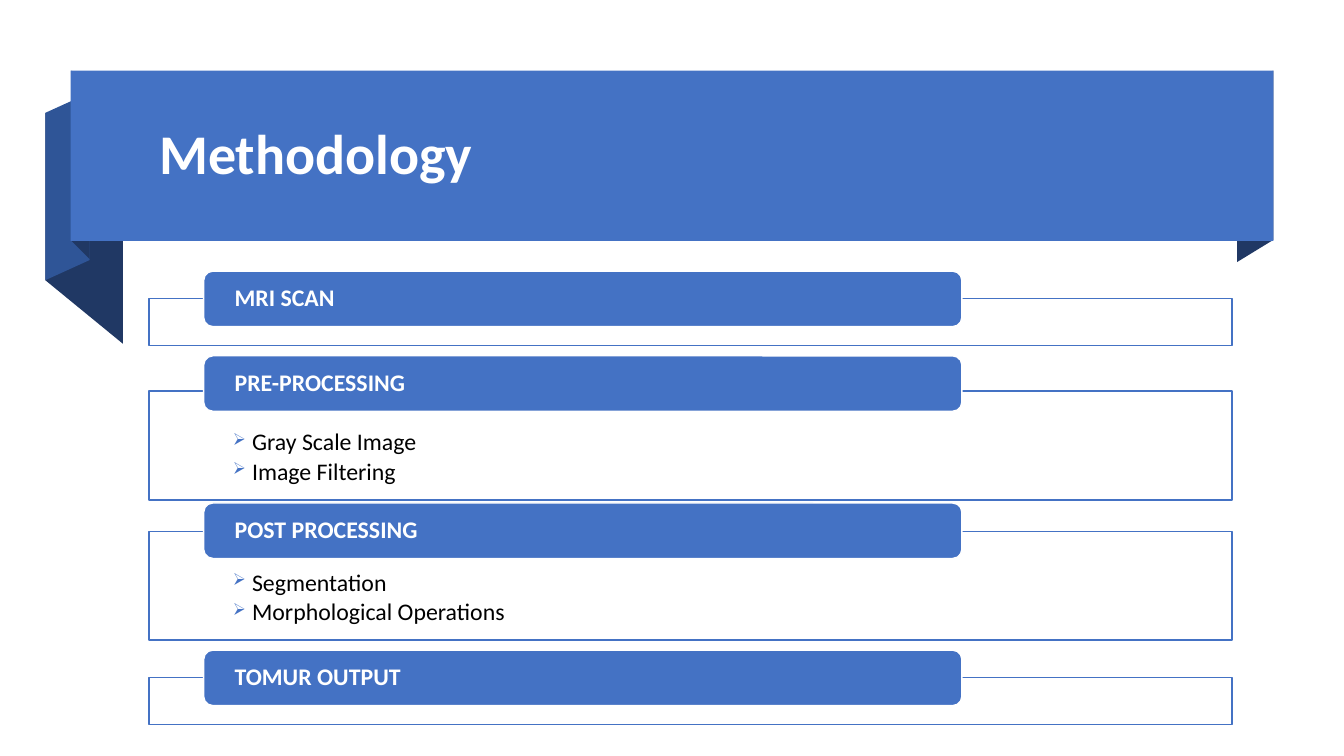
from lxml import etree
from pptx import Presentation, util as u
from pptx.dml.color import RGBColor
from pptx.enum import shapes, text
from pptx.oxml.ns import qn

PX = 9144  # EMU per px, 100 px to the inch
COLORS = {"blue": "4472C4", "mid": "2F5597", "navy": "203864",
          "white": "FFFFFF", "black": "000000"}
FONT = "Calibri"

FOLDS = [
    ("navy", [(1263, 238), (1227, 260), (1227, 91), (1263, 70)]),
    ("navy", [(122, 341), (45, 278), (45, 112), (122, 175)]),
    ("mid", [(89, 258), (45, 278), (45, 112), (89, 92)]),
    ("navy", [(89, 257), (71, 239), (71, 70), (89, 89)]),
]
# heading, heading top, box top, box height, bullets
STEPS = [
    ("MRI SCAN", 269, 296, 47, []),
    ("PRE-PROCESSING", 353, 388, 108, ["Gray Scale Image", "Image Filtering"]),
    ("POST PROCESSING", 499, 527, 108, ["Segmentation", "Morphological Operations"]),
    ("TOMUR OUTPUT", 645, 672, 47, []),
]


class Deck:
    def __init__(self, width, height):
        self.prs = Presentation()
        self.prs.slide_width, self.prs.slide_height = width * PX, height * PX
        self.s = self.prs.slides.add_slide(self.prs.slide_layouts[5])

    def color(self, name):
        return RGBColor.from_string(COLORS[name])

    def paint(self, sp, fill, line=None):
        sp.shadow.inherit = False
        sp.fill.solid()
        sp.fill.fore_color.rgb = self.color(fill)
        if line:
            sp.line.color.rgb = self.color(line)
            sp.line.width = u.Pt(1)
        else:
            sp.line.fill.background()
        return sp

    def shape(self, kind, box, fill, line=None):
        sp = self.s.shapes.add_shape(kind, *(v * PX for v in box))
        return self.paint(sp, fill, line)

    def polygon(self, points, fill):
        builder = self.s.shapes.build_freeform(*points[0], scale=PX)
        builder.add_line_segments(points[1:], close=True)
        return self.paint(builder.convert_to_shape(), fill)

    def frame(self, sp, anchor, insets=(10, 5, 10, 5)):
        tf = sp.text_frame
        tf.word_wrap = True
        tf.auto_size = text.MSO_AUTO_SIZE.NONE
        tf.vertical_anchor = anchor
        tf.margin_left, tf.margin_top, tf.margin_right, tf.margin_bottom = (
            v * PX for v in insets)
        return tf

    def add_text(self, p, words, size, color, bold=False):
        p.alignment = text.PP_ALIGN.LEFT
        p.line_spacing = 0.9
        r = p.add_run()
        r.text = words
        r.font.name, r.font.size, r.font.bold = FONT, u.Pt(size), bold
        r.font.color.rgb = self.color(color)

    def bullet(self, p):
        p.space_after = u.Pt(2.5)
        pPr = p._p.get_or_add_pPr()
        pPr.set("marL", str(19 * PX))
        pPr.set("indent", str(-19 * PX))
        clr = etree.SubElement(pPr, qn("a:buClr"))
        etree.SubElement(clr, qn("a:srgbClr"), val=COLORS["blue"])
        etree.SubElement(pPr, qn("a:buSzPct"), val="70000")
        etree.SubElement(pPr, qn("a:buChar"), char="➢")

    def title(self, words, box):
        sp = self.s.shapes.title
        sp.left, sp.top, sp.width, sp.height = (v * PX for v in box)
        sp.element.getparent().append(sp.element)  # in front of the ribbon
        tf = self.frame(sp, text.MSO_ANCHOR.MIDDLE)
        self.add_text(tf.paragraphs[0], words, 40, "white", bold=True)

    def step(self, heading, head_top, box_top, box_height, bullets):
        box = self.shape(shapes.MSO_SHAPE.RECTANGLE,
                         (148, box_top, 1074, box_height), "white", "blue")
        fill = box.element.spPr.find(qn("a:solidFill"))
        etree.SubElement(fill[0], qn("a:alpha"), val="90000")
        if bullets:
            tf = self.frame(box, text.MSO_ANCHOR.TOP, (83, 39, 83, 13))
            for i, words in enumerate(bullets):
                p = tf.add_paragraph() if i else tf.paragraphs[0]
                self.add_text(p, words, 17, "black")
                self.bullet(p)
        head = self.shape(shapes.MSO_SHAPE.ROUNDED_RECTANGLE,
                          (202, head_top, 752, 55), "blue", "white")
        tf = self.frame(head, text.MSO_ANCHOR.MIDDLE, (28, 0, 28, 0))
        self.add_text(tf.paragraphs[0], heading, 17, "white", bold=True)


def main():
    deck = Deck(1333, 750)
    for fill, points in FOLDS:
        deck.polygon(points, fill)
    deck.shape(shapes.MSO_SHAPE.RECTANGLE, (70, 70, 1193, 169), "blue")
    deck.title("Methodology", (148, 83, 1094, 145))
    for step in STEPS:
        deck.step(*step)
    deck.prs.save("out.pptx")


if __name__ == "__main__":
    main()
